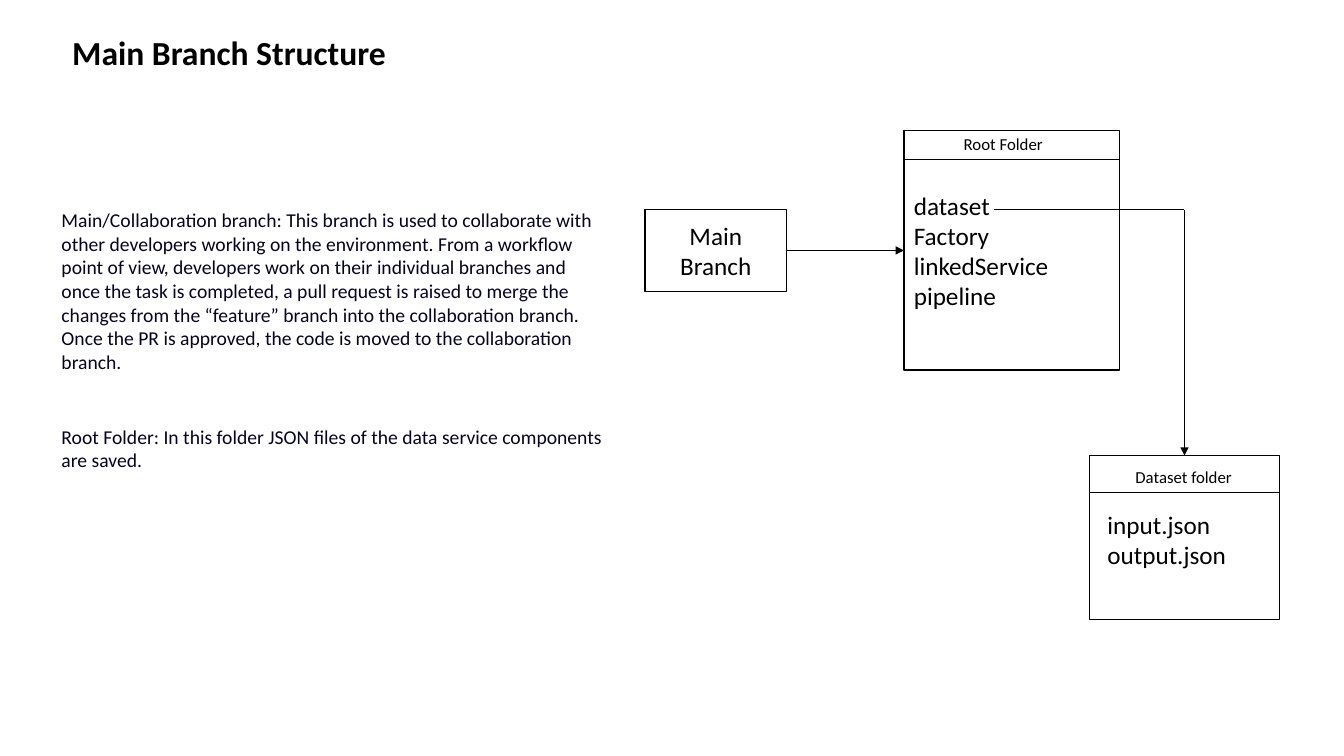
from lxml.etree import SubElement
from pptx import Presentation
from pptx.dml.color import RGBColor
from pptx.enum.shapes import MSO_CONNECTOR as Connector, MSO_SHAPE as Shape
from pptx.enum.text import MSO_ANCHOR as Anchor, PP_ALIGN as Align
from pptx.oxml.ns import qn
from pptx.util import Cm, Pt

BLACK = "000000"
WHITE = "FFFFFF"
NAVY = "060320"
TOP, LEFT, BOTTOM, RIGHT = range(4)
LIST_SIZE = 18
LABEL_SIZE = 12
BRANCH_NOTE = (
    "Main/Collaboration branch: This branch is used to collaborate with other "
    "developers working on the environment. From a workflow point of view, "
    "developers work on their individual branches and once the task is completed, "
    "a pull request is raised to merge the changes from the “feature” branch into "
    "the collaboration branch. Once the PR is approved, the code is moved to the "
    "collaboration branch."
)
FOLDER_NOTE = (
    "Root Folder: In this folder JSON files of the data service components are saved."
)


def set_color(color_format, color):
    color_format.rgb = RGBColor.from_string(color)


def set_values(target, values):
    for name, value in values.items():
        setattr(target, name, value)


def write_text(shape, lines, size, color=BLACK, bold=False, align=Align.LEFT,
               anchor=Anchor.TOP, gap=0, inset_top=0.13):
    frame = shape.text_frame
    set_values(frame, {
        "word_wrap": True,
        "vertical_anchor": anchor,
        "margin_left": Cm(0.25),
        "margin_right": Cm(0.25),
        "margin_top": Cm(inset_top),
        "margin_bottom": Cm(0.13),
    })
    frame.text = "\n".join(lines)
    for index, paragraph in enumerate(frame.paragraphs):
        set_values(paragraph, {
            "alignment": align,
            "space_before": Pt(gap if index else 0),
        })
        font = paragraph.runs[0].font
        set_values(font, {"name": "Calibri", "size": Pt(size), "bold": bold})
        set_color(font.color, color)


def add_text(slide, place, lines, size, **options):
    box = slide.shapes.add_textbox(*map(Cm, place))
    write_text(box, lines, size, **options)


def add_box(slide, place, lines=(), align=Align.LEFT):
    box = slide.shapes.add_shape(Shape.RECTANGLE, *map(Cm, place))
    box.shadow.inherit = False
    box.fill.solid()
    set_color(box.fill.fore_color, WHITE)
    set_color(box.line.color, BLACK)
    box.line.width = Pt(1)
    if lines:
        write_text(box, lines, LIST_SIZE, align=align, anchor=Anchor.MIDDLE)
    return box


def add_line(slide, start, end, arrow=False):
    line = slide.shapes.add_connector(Connector.STRAIGHT, *map(Cm, start + end))
    set_color(line.line.color, BLACK)
    line.line.width = Pt(0.5)
    if arrow:
        SubElement(line.line._get_or_add_ln(), qn("a:tailEnd"), type="triangle")
    SubElement(line._element.spPr, qn("a:effectLst"))
    return line


def add_folder(slide, place, label, label_place, divider_y, lines=()):
    left, _, width, _ = place
    folder = add_box(slide, place, lines)
    add_line(slide, (left, divider_y), (left + width, divider_y))
    add_text(slide, label_place, [label], LABEL_SIZE, align=Align.CENTER)
    return folder


def main():
    presentation = Presentation()
    set_values(presentation, {"slide_width": Cm(33.87), "slide_height": Cm(19.05)})
    slide = presentation.slides.add_slide(presentation.slide_layouts[6])

    add_text(slide, (1.57, 0.6, 28, 1.35), ["Main Branch Structure"], 24,
             bold=True, inset_top=0.2)
    add_text(slide, (1.3, 5.05, 14.27, 7.04), [BRANCH_NOTE, FOLDER_NOTE], 14,
             color=NAVY, gap=37, inset_top=0.2)

    main_branch = add_box(slide, (16.26, 5.28, 3.56, 2.06), ["Main Branch"], Align.CENTER)
    root_folder = add_folder(
        slide, (22.78, 3.29, 5.44, 6.04), "Root Folder", (23.42, 3.23, 3.73, 0.76), 4.01,
        ["dataset", "Factory", "linkedService", "pipeline"])
    dataset_folder = add_folder(
        slide, (27.46, 11.48, 4.78, 4.14), "Dataset folder", (28.14, 11.63, 3.38, 0.76), 12.4)
    add_text(slide, (27.66, 12.7, 3.89, 1.8), ["input.json", "output.json"], LIST_SIZE)

    branch_arrow = add_line(slide, (19.82, 6.31), (22.78, 6.31), arrow=True)
    branch_arrow.begin_connect(main_branch, RIGHT)
    branch_arrow.end_connect(root_folder, LEFT)
    add_line(slide, (25.04, 5.28), (29.85, 5.28))
    dataset_arrow = add_line(slide, (29.85, 5.28), (29.85, 11.48), arrow=True)
    dataset_arrow.end_connect(dataset_folder, TOP)

    presentation.save("out.pptx")


if __name__ == "__main__":
    main()
